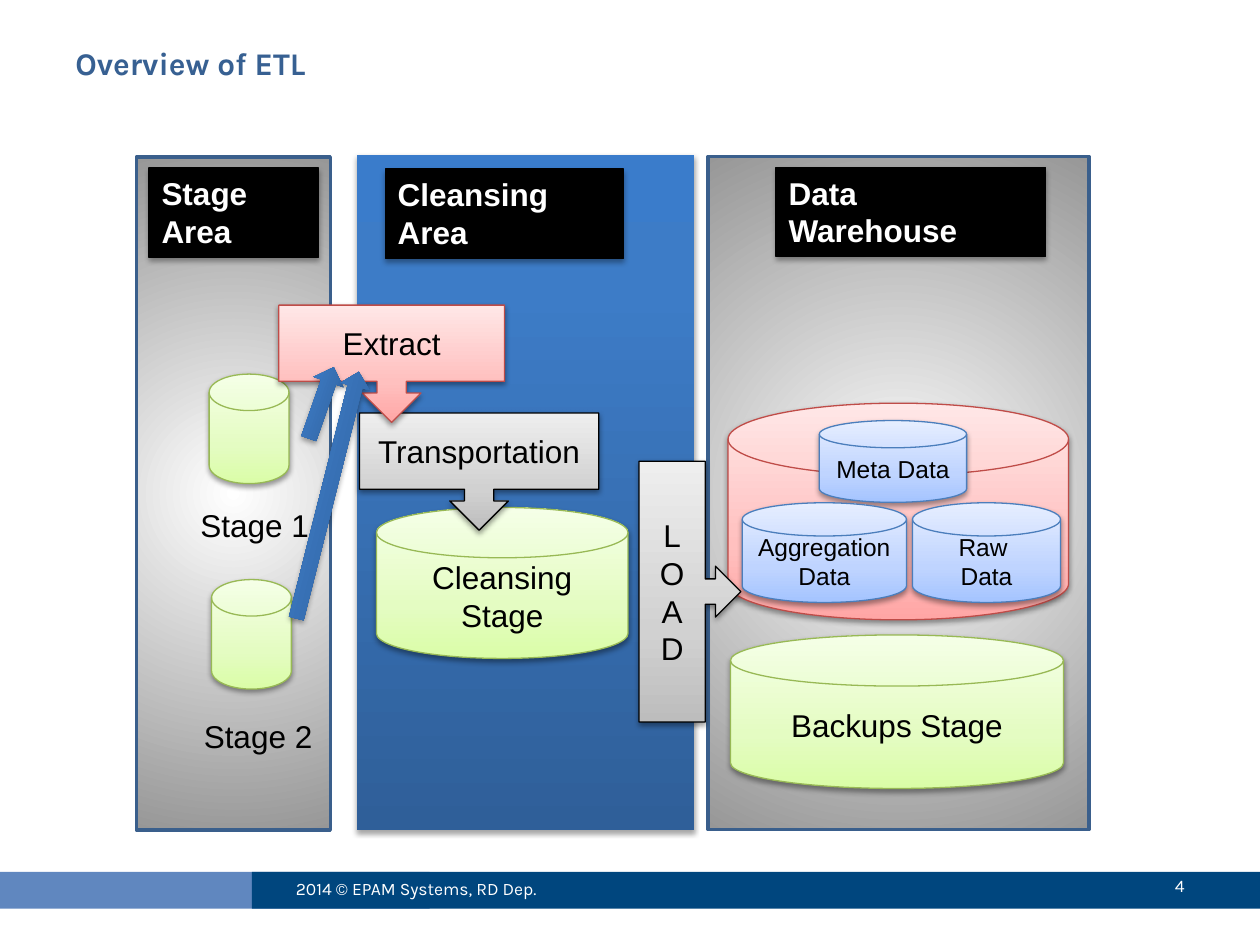
"""Build the ETL overview slide with its areas, stages and process arrows."""
from dataclasses import dataclass, field
from typing import Optional

from lxml.etree import SubElement
from pptx import Presentation
from pptx.dml.color import RGBColor
from pptx.enum.shapes import MSO_SHAPE as Preset
from pptx.enum.text import MSO_ANCHOR as Anchor, PP_ALIGN as Align
from pptx.oxml.ns import qn
from pptx.util import Pt

Box = tuple[float, float, float, float]
Stops = tuple[tuple[int, str], ...]


@dataclass(frozen=True)
class Look:
    stops: Stops
    line: Optional[str] = None
    line_width: float = 0.75
    shadow: Optional[tuple[int, float]] = None
    radial: bool = False


@dataclass(frozen=True)
class TextStyle:
    size: float
    name: str = "Arial"
    color: str = "000000"
    bold: bool = False
    align: Align = Align.CENTER
    anchor: Anchor = Anchor.MIDDLE
    wrap: bool = True


def soft_ramp(dark: str, middle: str, light: str, line: str) -> Look:
    """Return the look of a pale, outlined block."""
    return Look(((0, dark), (35, middle), (100, light)), line, shadow=(38, 1.6))


@dataclass(frozen=True)
class Theme:
    blue: Look = Look(((0, "2F5F99"), (80, "3D7CC7"), (100, "3A7CCB")), shadow=(35, 1.8))
    area: Look = Look(((0, "FFFFFF"), (100, "979797")), "3A5F8C", 2, radial=True)
    header: Look = Look(((0, "000000"),), "000000", shadow=(35, 1.8))
    red: Look = soft_ramp("FFA6A5", "FFC0BF", "FFE7E7", "BF4C48")
    pale_blue: Look = soft_ramp("A4C4FF", "BFD4FF", "E6EEFF", "4B7EBC")
    green: Look = soft_ramp("DAFDA7", "E4FCC2", "F5FFE7", "98B955")
    gray: Look = soft_ramp("BDBDBD", "D1D1D1", "EEEEEE", "000000")
    footer_light: Look = Look(((0, "6087BF"),))
    footer_dark: Look = Look(((0, "00467E"),))
    title: TextStyle = TextStyle(18, "Karla", "376092", True, Align.LEFT, Anchor.TOP)
    footer: TextStyle = TextStyle(10, "Karla", "FFFFFF", align=Align.LEFT)
    page: TextStyle = TextStyle(10, "Karla", "FFFFFF", align=Align.RIGHT)
    heading: TextStyle = TextStyle(18, color="FFFFFF", bold=True, align=Align.LEFT, anchor=Anchor.TOP)
    label: TextStyle = TextStyle(18)
    small: TextStyle = TextStyle(14)
    caption: TextStyle = TextStyle(18, align=Align.LEFT, anchor=Anchor.TOP, wrap=False)


THEME = Theme()
DISK = Preset.FLOWCHART_MAGNETIC_DISK


@dataclass(frozen=True)
class Block:
    preset: Preset
    box: Box
    look: Look
    text: str = ""
    style: TextStyle = field(default=THEME.label)
    rotation: float = 0
    stacked: bool = False


FOOTER = (
    Block(Preset.RECTANGLE, (-1.4, 498.2, 247, 21), THEME.footer_light),
    Block(Preset.RECTANGLE, (144, 498.2, 576, 21), THEME.footer_dark),
)
AREAS = (
    Block(Preset.RECTANGLE, (203.8, 88.4, 193, 385.8), THEME.blue),
    Block(Preset.RECTANGLE, (77.9, 89.8, 110.9, 384.4), THEME.area),
    Block(Preset.RECTANGLE, (404.6, 89.4, 217.8, 384.6), THEME.area),
)
WAREHOUSE = (
    Block(DISK, (416, 230.4, 194.6, 123.8), THEME.red),
    Block(DISK, (468.2, 240.3, 84.2, 46.8), THEME.pale_blue, "Meta Data", THEME.small),
    Block(DISK, (424.1, 287.3, 93.9, 57), THEME.pale_blue, "Aggregation Data", THEME.small),
    Block(DISK, (521.4, 287.3, 84.6, 57), THEME.pale_blue, "Raw \vData", THEME.small),
)
STAGES = (
    Block(Preset.RECTANGLE, (443.5, 95.6, 154, 51), THEME.header, "Data Warehouse", THEME.heading),
    Block(Preset.RECTANGLE, (85.2, 96, 96.8, 51), THEME.header, "Stage Area", THEME.heading),
    Block(DISK, (119.5, 213.8, 45.6, 62.6), THEME.green),
    Block(DISK, (120.9, 331.2, 45.6, 62.6), THEME.green),
    Block(DISK, (215.1, 290, 143.8, 86.3), THEME.green, "Cleansing Stage"),
    Block(DISK, (417.4, 362.8, 190.3, 87.8), THEME.green, "Backups Stage"),
    Block(Preset.RECTANGLE, (220.2, 96.6, 136, 51), THEME.header, "Cleansing Area", THEME.heading),
)
PROCESS = (
    Block(Preset.DOWN_ARROW_CALLOUT, (205.4, 236, 136.8, 67), THEME.gray, "Transportation"),
    Block(Preset.DOWN_ARROW_CALLOUT, (159.3, 174.4, 129, 67), THEME.red, "Extract"),
    Block(Preset.RIGHT_ARROW, (162, 221.2, 43.2, 18), THEME.blue, rotation=289.3),
    Block(Preset.RIGHT_ARROW, (114.5, 274.3, 145.4, 17.3), THEME.blue, rotation=284.2),
    Block(Preset.RIGHT_ARROW_CALLOUT, (365.2, 263.6, 58.2, 149), THEME.gray, "LOAD", stacked=True),
)
TEXTS = (
    ("2014 © EPAM Systems, RD Dep.", (162, 493.2, 192.2, 28.8), THEME.footer),
    ("4", (606.2, 491.8, 77.8, 28.8), THEME.page),
    ("Overview of ETL", (36, 21.6, 648, 56.2), THEME.title),
    ("Stage 1", (107.4, 285.4, 77, 28.8), THEME.caption),
    ("Stage 2", (109.4, 406, 77, 28.8), THEME.caption),
)


def points(box: Box) -> list[Pt]:
    """Convert a box to lengths."""
    return [Pt(value) for value in box]


def write_text(shape, text: str, style: TextStyle) -> None:
    """Fill a shape with one styled paragraph."""
    frame = shape.text_frame
    frame.word_wrap = style.wrap
    frame.vertical_anchor = style.anchor
    paragraph = frame.paragraphs[0]
    paragraph.text = text
    paragraph.alignment = style.align
    formats = {"size": Pt(style.size), "name": style.name, "bold": style.bold}
    for run in paragraph.runs:
        for name, value in formats.items():
            setattr(run.font, name, value)
        run.font.color.rgb = RGBColor.from_string(style.color)


def add_color(parent, color: str, alpha: int = 100) -> None:
    """Append a colour element to an effect or gradient stop."""
    element = SubElement(parent, qn("a:srgbClr"), val=color)
    if alpha < 100:
        SubElement(element, qn("a:alpha"), val=str(alpha * 1000))


def paint(shape, look: Look) -> None:
    """Apply the fill, line and shadow of a look."""
    properties = shape.element.spPr
    if len(look.stops) == 1:
        shape.fill.solid()
        shape.fill.fore_color.rgb = RGBColor.from_string(look.stops[0][1])
    else:
        shape.fill.gradient()
        gradient = properties.find(qn("a:gradFill"))
        gradient.clear()
        stop_list = SubElement(gradient, qn("a:gsLst"))
        for position, color in look.stops:
            add_color(SubElement(stop_list, qn("a:gs"), pos=str(position * 1000)), color)
        if look.radial:
            path = SubElement(gradient, qn("a:path"), path="circle")
            SubElement(path, qn("a:fillToRect"), dict.fromkeys("ltrb", "50000"))
        else:
            SubElement(gradient, qn("a:lin"), ang="16200000", scaled="0")
    if look.line:
        shape.line.color.rgb = RGBColor.from_string(look.line)
        shape.line.width = Pt(look.line_width)
    else:
        shape.line.fill.background()
    shape.shadow.inherit = False
    if look.shadow:
        alpha, distance = look.shadow
        shadow = SubElement(properties.find(qn("a:effectLst")), qn("a:outerShdw"), blurRad=str(Pt(3.1)),
                            dist=str(Pt(distance)), dir="5400000", rotWithShape="0")
        add_color(shadow, "000000", alpha)


def draw_blocks(shapes, blocks: tuple[Block, ...]) -> None:
    """Draw blocks from back to front."""
    for block in blocks:
        shape = shapes.add_shape(block.preset, *points(block.box))
        shape.rotation = block.rotation
        paint(shape, block.look)
        if block.text:
            write_text(shape, block.text, block.style)
        if block.stacked:
            shape.text_frame._txBody.bodyPr.set("vert", "wordArtVert")


def main() -> None:
    """Build and save the presentation."""
    presentation = Presentation()
    presentation.slide_width, presentation.slide_height = Pt(720), Pt(540)
    shapes = presentation.slides.add_slide(presentation.slide_layouts[6]).shapes
    draw_blocks(shapes, FOOTER + AREAS)
    draw_blocks(shapes.add_group_shape().shapes, WAREHOUSE)
    draw_blocks(shapes, STAGES)
    for text, box, style in TEXTS:
        write_text(shapes.add_textbox(*points(box)), text, style)
    draw_blocks(shapes, PROCESS)
    presentation.save("out.pptx")


if __name__ == "__main__":
    main()
